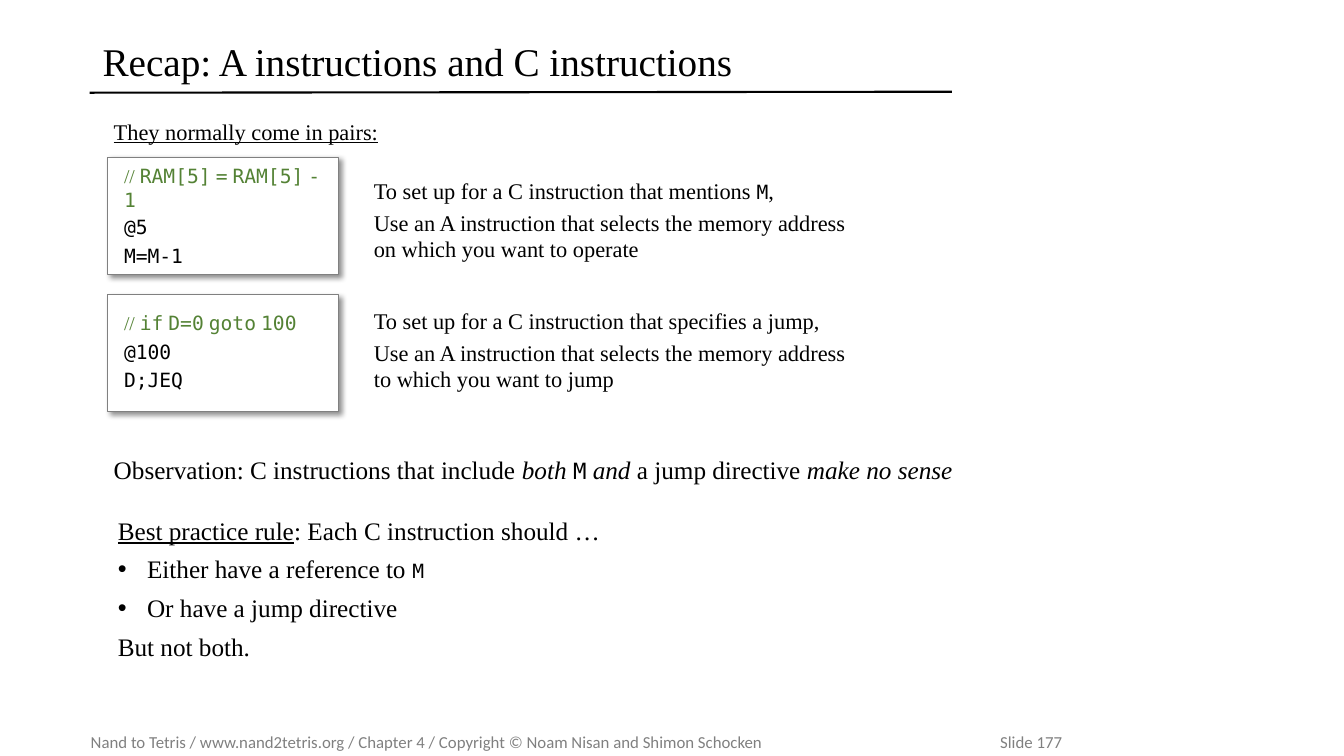
from pptx import Presentation
from pptx.dml.color import RGBColor
from pptx.enum.shapes import MSO_CONNECTOR as Connector, MSO_SHAPE as Preset
from pptx.enum.text import MSO_ANCHOR as Anchor, PP_ALIGN as Align
from pptx.oxml import parse_xml
from pptx.oxml.ns import nsdecls
from pptx.util import Emu, Inches, Pt

COLORS = {"ink": "000000", "paper": "FFFFFF", "gray": "808080", "comment": "548235"}
SERIF, MONO, SANS = "Times New Roman", "DejaVu Sans Mono", "Calibri"


def rgb(name):
    return RGBColor.from_string(COLORS[name])


def run(text, size, font=SERIF, color="ink", italic=False, underline=False):
    return text, size, font, color, italic, underline


def write(frame, paragraphs, before=0, line_spacing=None):
    """Fill a frame with paragraphs, each a list of runs."""
    frame.word_wrap = True
    for index, runs in enumerate(paragraphs):
        paragraph = frame.add_paragraph() if index else frame.paragraphs[0]
        paragraph.alignment = Align.LEFT
        paragraph.space_before = Pt(before if index else 0)
        if line_spacing:
            paragraph.line_spacing = line_spacing
        for text, size, font, color, italic, underline in runs:
            piece = paragraph.add_run()
            piece.text = text
            piece.font.size, piece.font.name = Pt(size), font
            piece.font.color.rgb = rgb(color)
            piece.font.italic, piece.font.underline = italic, underline


def text_box(slide, box, paragraphs, **spacing):
    frame = slide.shapes.add_textbox(*map(Inches, box)).text_frame
    write(frame, paragraphs, **spacing)
    return frame


def add_header(slide, box):
    left, top, width, height = box
    # Rule under the title
    rule = slide.shapes.add_connector(
        Connector.STRAIGHT, Inches(left - 0.03), Inches(top + height - 0.03),
        Inches(left + width - 0.01), Inches(top + height - 0.04))
    rule.line.color.rgb = rgb("ink")
    rule.line.width = Pt(1.5)
    rule._element.spPr.append(parse_xml(f"<a:effectLst {nsdecls('a')}/>"))
    # Title
    title = text_box(slide, box, [[run("Recap: A instructions and C instructions", 28)]],
                     line_spacing=0.9)
    title.vertical_anchor = Anchor.MIDDLE


def comment_runs(comment):
    """Code words in mono, the slashes and gaps in serif."""
    runs = [run("// ", 14, color="comment")]
    for index, word in enumerate(comment.split()):
        if index:
            runs.append(run(" ", 14, color="comment"))
        runs.append(run(word, 14, MONO, "comment"))
    return runs


def add_code_card(slide, box, comment, code):
    card = slide.shapes.add_shape(Preset.RECTANGLE, *map(Inches, box))
    card.fill.solid()
    card.fill.fore_color.rgb = rgb("paper")
    card.line.color.rgb = rgb("gray")
    card.line.width = Pt(0.75)
    # Soft shadow to the lower right
    card.shadow.inherit = False
    card._element.spPr.remove(card._element.spPr.find(
        "{http://schemas.openxmlformats.org/drawingml/2006/main}effectLst"))
    card._element.spPr.append(parse_xml(
        f'<a:effectLst {nsdecls("a")}><a:outerShdw blurRad="{Pt(4)}" dist="{Pt(3)}" '
        f'dir="2700000" algn="tl" rotWithShape="0"><a:srgbClr val="{COLORS["ink"]}">'
        '<a:alpha val="43000"/></a:srgbClr></a:outerShdw></a:effectLst>'))
    # Code
    frame = card.text_frame
    frame.margin_left = frame.margin_right = Inches(0.16)
    frame.margin_top = frame.margin_bottom = Inches(0.1)
    frame.vertical_anchor = Anchor.MIDDLE
    lines = [comment_runs(comment)] + [[run(line, 14, MONO)] for line in code]
    write(frame, lines, before=5, line_spacing=0.9)
    return frame


def add_pairs(slide, box):
    left, top, width, _ = box
    text_box(slide, (left - 0.04, top, 5.27, 0.49),
             [[run("They normally come in pairs:", 16, underline=True)]])
    pairs = [
        ("RAM[5] = RAM[5] - 1", ["@5", "M=M-1"], 0.15,
         [run("To set up for a C instruction that mentions ", 16), run("M", 14, MONO),
          run(",", 16)],
         "on which you want to operate"),
        ("if D=0 goto 100", ["@100", "D;JEQ"], 0.08,
         [run("To set up for a C instruction that specifies a jump,", 16)],
         "to which you want to jump"),
    ]
    for index, (comment, code, drop, setup, purpose) in enumerate(pairs):
        card_top = top + 0.44 + index * 1.36
        card = add_code_card(slide, (left, card_top, 2.29, 1.16), comment, code)
        if index == 0:
            card.paragraphs[0].line_spacing = 1.0
        advice = "Use an A instruction that selects the memory address " + purpose
        text_box(slide, (left + 2.54, card_top + drop, width - 2.54, 0.97),
                 [setup, [run(advice, 16)]], before=3.2)


def add_observation(slide, box):
    text_box(slide, box, [[
        run("Observation: C instructions that include ", 18),
        run("both ", 18, italic=True), run("M", 16, MONO), run(" ", 18),
        run("and", 18, italic=True), run(" a jump directive ", 18),
        run("make no sense", 18, italic=True)]])


def add_best_practice(slide, box):
    rule = text_box(slide, box, [
        [run("Best practice rule", 18, underline=True),
         run(": Each C instruction should …", 18)],
        [run("Either have a reference to ", 18), run("M", 14, MONO)],
        [run("Or have a jump directive", 18)],
        [run("But not both.", 18)]], before=6)
    for choice in rule.paragraphs[1:3]:
        props = choice._p.get_or_add_pPr()
        props.set("marL", str(Inches(0.29)))
        props.set("indent", str(-Inches(0.29)))
        props.append(parse_xml(f'<a:buFont {nsdecls("a")} typeface="Arial"/>'))
        props.append(parse_xml(f'<a:buChar {nsdecls("a")} char="•"/>'))


def add_footer(slide, box):
    credit = ("Nand to Tetris / www.nand2tetris.org / Chapter 4 / "
              "Copyright © Noam Nisan and Shimon Schocken")
    footer = text_box(slide, box, [[run(credit + "\tSlide 177", 12, SANS, "gray")]])
    footer.margin_left = footer.margin_right = Emu(0)
    footer.vertical_anchor = Anchor.MIDDLE
    # Tab stop for the slide number
    footer.paragraphs[0]._p.get_or_add_pPr().append(parse_xml(
        f'<a:tabLst {nsdecls("a")}><a:tab pos="{Inches(9.02)}" algn="l"/></a:tabLst>'))


def main():
    deck = Presentation()
    deck.slide_width, deck.slide_height = Inches(13.33), Inches(7.5)
    slide = deck.slides.add_slide(deck.slide_layouts[6])
    add_footer(slide, (0.9, 7.21, 12.25, 0.3))
    add_header(slide, (0.92, 0.32, 8.53, 0.63))
    add_pairs(slide, (1.07, 1.12, 7.5, 2.96))
    add_observation(slide, (1.03, 4.46, 9.63, 0.43))
    add_best_practice(slide, (1.07, 5.06, 8.62, 1.3))
    deck.save("out.pptx")


if __name__ == "__main__":
    main()
